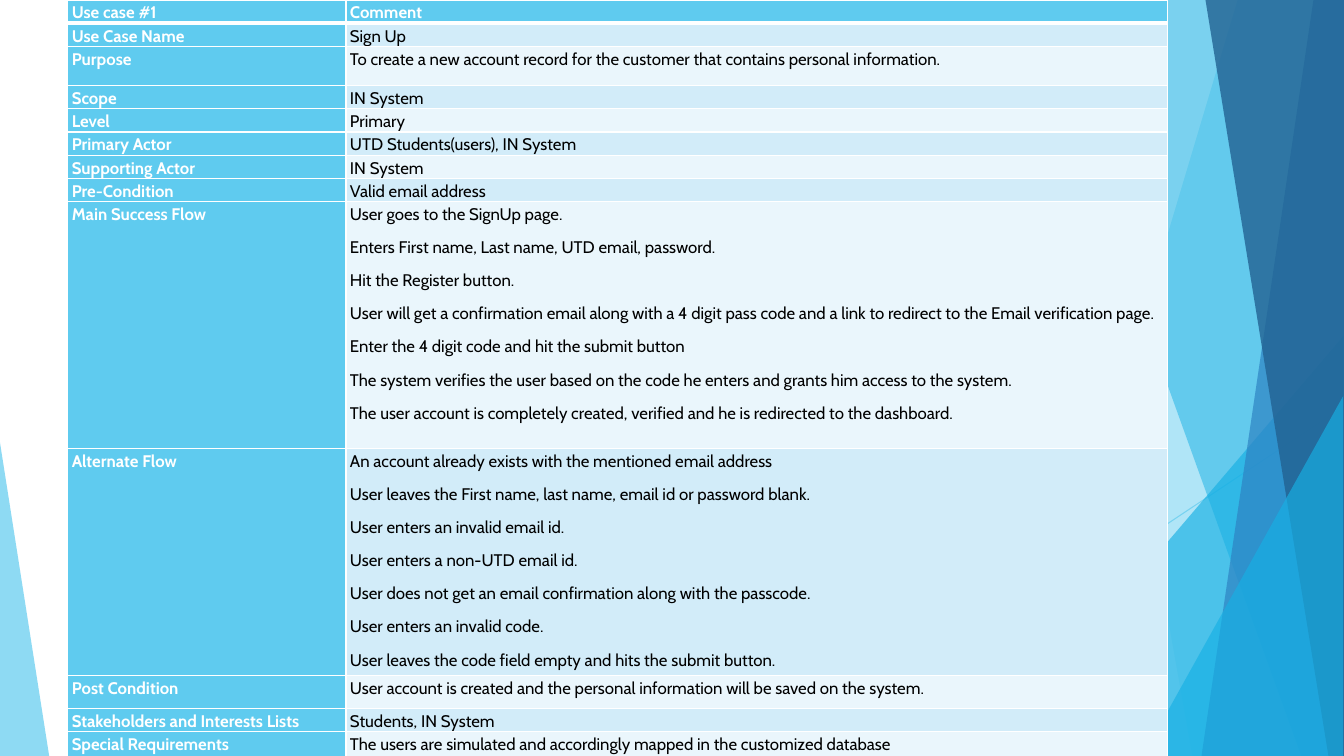
from lxml.etree import SubElement
from pptx import Presentation
from pptx.dml.color import RGBColor
from pptx.enum.shapes import MSO_CONNECTOR, MSO_SHAPE
from pptx.oxml.ns import qn
from pptx.util import Cm, Pt

SKY = RGBColor(0x5F, 0xCB, 0xEF)
CYAN = RGBColor(0x17, 0xB0, 0xE4)
BLUE = RGBColor(0x2E, 0x83, 0xC3)
NAVY = RGBColor(0x22, 0x62, 0x92)
PALE = RGBColor(0xEA, 0xF6, 0xFC)
LIGHT = RGBColor(0xD2, 0xEC, 0xF9)
WHITE = RGBColor(0xFF, 0xFF, 0xFF)
BLACK = RGBColor(0, 0, 0)

WIDTH, HEIGHT = 33.87, 19.05
ROW = 0.56


def set_opacity(shape, percent):
    for colour in shape.element.spPr.iter(qn("a:srgbClr")):
        SubElement(colour, qn("a:alpha"), val=str(percent * 1000))


def add_border(cell, side, points):
    """Draw a white border on one side (L, R, T or B); call before filling the cell."""
    properties = cell._tc.get_or_add_tcPr()
    line = SubElement(properties, qn(f"a:ln{side}"), w=str(Pt(points)))
    solid = SubElement(line, qn("a:solidFill"))
    SubElement(solid, qn("a:srgbClr"), val=str(WHITE))


deck = Presentation()
deck.slide_width, deck.slide_height = Cm(WIDTH), Cm(HEIGHT)
page = deck.slides.add_slide(deck.slide_layouts[6])

# Thin lines behind the right-hand facets: start x, y, end x, y
for ends in [(26.04, 0, 29.41, HEIGHT), (WIDTH, 10.24, 20.62, HEIGHT)]:
    line = page.shapes.add_connector(MSO_CONNECTOR.STRAIGHT, *map(Cm, ends))
    line.line.color.rgb = SKY
    line.line.width = Pt(0.75)
    set_opacity(line, 70)
    SubElement(line.element.spPr, qn("a:effectLst"))

# A band gives the x of its slanted left edge at top and bottom and runs to the
# right of the slide; a triangle gives left, top, width, height and apex position.
facets = [
    ("band", (31.19, 25.50), SKY, 36),
    ("band", (26.67, 30.05), SKY, 20),
    ("triangle", (24.82, 8.46, 9.04, 10.59, 1), CYAN, 66),
    ("band", (25.93, 32.79), CYAN, 50),
    ("band", (33.10, 30.28), BLUE, 70),
    ("band", (30.38, 33.48), NAVY, 80),
    ("triangle", (28.80, 9.98, 5.05, 9.07, 1), CYAN, 66),
    ("triangle", (0, 11.15, 1.24, 7.90, 0), SKY, 70),
]
for kind, measures, colour, opacity in facets:
    if kind == "band":
        top_x, bottom_x = map(Cm, measures)
        right, bottom = Cm(WIDTH), Cm(HEIGHT)
        outline = page.shapes.build_freeform(top_x, 0)
        outline.add_line_segments([(right, 0), (right, bottom), (bottom_x, bottom)])
        facet = outline.convert_to_shape()
    else:
        *frame, apex = measures
        facet = page.shapes.add_shape(MSO_SHAPE.ISOSCELES_TRIANGLE, *map(Cm, frame))
        facet.adjustments[0] = apex
    facet.shadow.inherit = False
    facet.fill.solid()
    facet.fill.fore_color.rgb = colour
    facet.line.fill.background()
    set_opacity(facet, opacity)

# Row height, label, paragraphs
use_case = [
    (ROW, "Use case #1", ["Comment"]),
    (ROW, "Use Case Name", ["Sign Up"]),
    (0.99, "Purpose", [
        "To create a new account record for the customer that contains personal information.",
    ]),
    (ROW, "Scope", ["IN System"]),
    (ROW, "Level", ["Primary"]),
    (ROW, "Primary Actor", ["UTD Students(users), IN System"]),
    (ROW, "Supporting Actor", ["IN System"]),
    (ROW, "Pre-Condition", ["Valid email address"]),
    (6.22, "Main Success Flow", [
        "User goes to the SignUp page.",
        "Enters First name, Last name, UTD email, password.",
        "Hit the Register button.",
        "User will get a confirmation email along with a 4 digit pass code and a link "
        "to redirect to the Email verification page.",
        "Enter the 4 digit code and hit the submit button",
        "The system verifies the user based on the code he enters and grants him access "
        "to the system.",
        "The user account is completely created, verified and he is redirected to the "
        "dashboard.",
    ]),
    (5.72, "Alternate Flow", [
        "An account already exists with the mentioned email address",
        "User leaves the First name, last name, email id or password blank.",
        "User enters an invalid email id.",
        "User enters a non-UTD email id.",
        "User does not get an email confirmation along with the passcode.",
        "User enters an invalid code.",
        "User leaves the code field empty and hits the submit button.",
    ]),
    (0.84, "Post Condition", [
        "User account is created and the personal information will be saved on the system.",
    ]),
    (ROW, "Stakeholders and Interests Lists", ["Students, IN System"]),
    (0.76, "Special Requirements", [
        "The users are simulated and accordingly mapped in the customized database",
    ]),
]
columns = [7.01, 20.71]
table_height = sum(height for height, *_ in use_case)
table = page.shapes.add_table(
    len(use_case), len(columns), Cm(1.71), 0, Cm(sum(columns)), Cm(table_height)
).table
for column, width in zip(table.columns, columns):
    column.width = Cm(width)

margins = {
    "margin_left": Cm(0.1), "margin_right": Cm(0.1),
    "margin_top": Cm(0.03), "margin_bottom": 0,
}
spacing = {"line_spacing": 1.07, "space_after": Pt(8)}

for row_index, (height, label, comments) in enumerate(use_case):
    table.rows[row_index].height = Cm(height)
    for column_index, texts in enumerate([[label], comments]):
        cell = table.cell(row_index, column_index)
        heading = row_index == 0 or column_index == 0
        for name, value in margins.items():
            setattr(cell, name, value)
        for side in "LRTB":
            under_header = (row_index, side) in [(0, "B"), (1, "T")]
            add_border(cell, side, 3 if under_header else 1)
        cell.fill.solid()
        cell.fill.fore_color.rgb = SKY if heading else LIGHT if row_index % 2 else PALE

        font_format = {"name": "Cabin", "size": Pt(12), "bold": heading}
        for text_index, text in enumerate(texts):
            frame = cell.text_frame
            para = frame.add_paragraph() if text_index else frame.paragraphs[0]
            for name, value in spacing.items():
                setattr(para, name, value)
            span = para.add_run()
            span.text = text
            for name, value in font_format.items():
                setattr(span.font, name, value)
            span.font.color.rgb = WHITE if heading else BLACK

deck.save("out.pptx")
